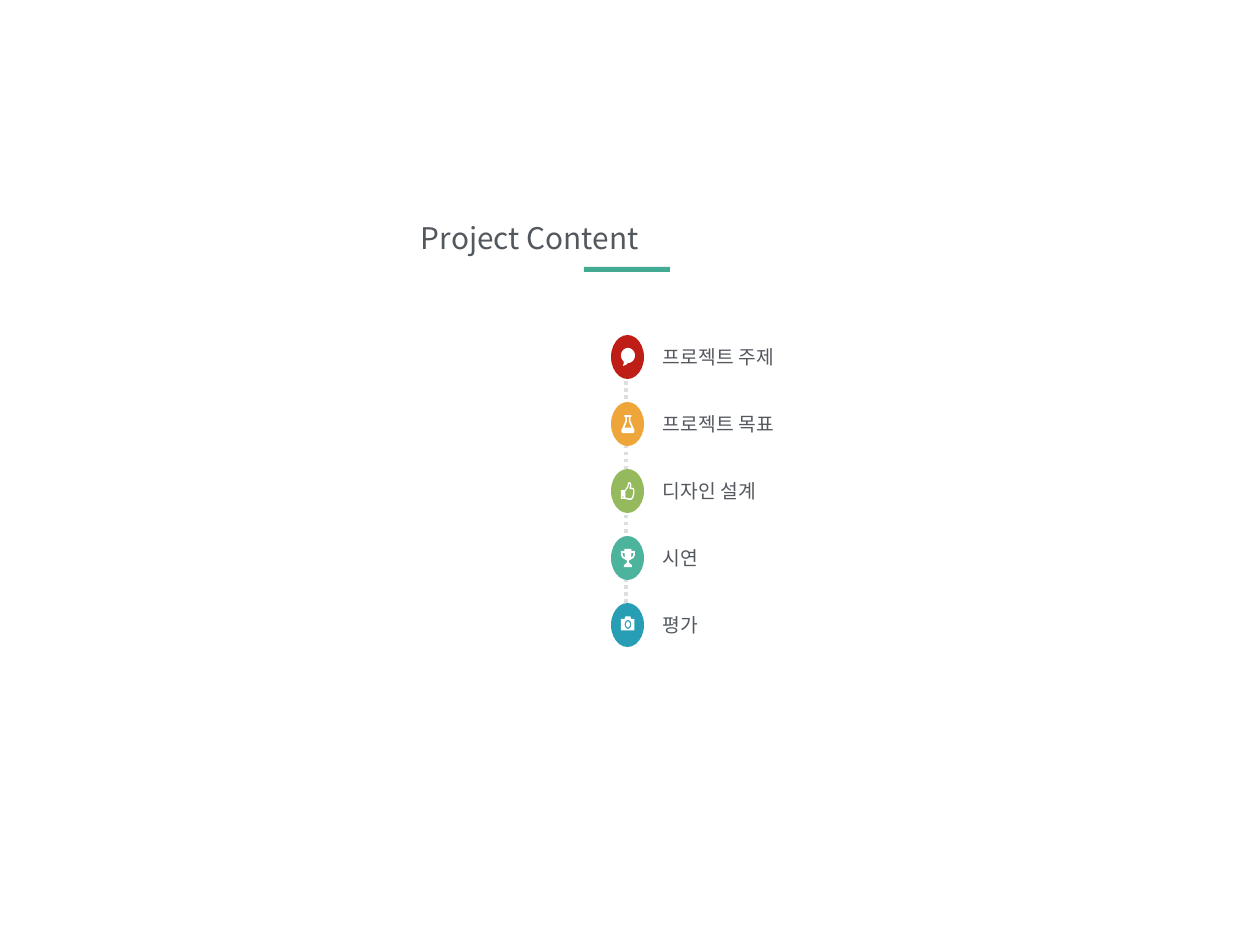
import math
from dataclasses import dataclass

import pptx
import pptx.dml.color
import pptx.enum.dml
import pptx.enum.shapes
import pptx.enum.text
import pptx.oxml.ns
import pptx.util

PX = 914400 / 126


@dataclass(frozen=True)
class Theme:
    font: str = "Noto Sans CJK KR"
    text: str = "53585F"
    rule: str = "43AB92"
    dots: str = "DCDEE0"
    icon: str = "FFFFFF"
    head: int = 17
    body: int = 11
    line: int = 2


THEME = Theme()


def emu(*nums):
    return [pptx.util.Emu(round(n * PX)) for n in nums]


def rgb(code):
    return pptx.dml.color.RGBColor.from_string(code)


def paint(shape, code):
    shape.shadow.inherit = False
    shape.fill.solid()
    shape.fill.fore_color.rgb = rgb(code)
    shape.line.fill.background()


def write(shape, words, size):
    frame = shape.text_frame
    frame.word_wrap = True
    frame.auto_size = pptx.enum.text.MSO_AUTO_SIZE.NONE
    frame.vertical_anchor = pptx.enum.text.MSO_ANCHOR.MIDDLE
    for side in ("left", "top", "right", "bottom"):
        setattr(frame, "margin_" + side, emu(3)[0])
    para = frame.paragraphs[0]
    para.alignment = pptx.enum.text.PP_ALIGN.LEFT
    run = para.add_run()
    run.text = words
    run.font.name = THEME.font
    run.font.size = pptx.util.Pt(size)
    run.font.color.rgb = rgb(THEME.text)
    # Hangul takes the East Asian face
    east = run.font._element.makeelement(
        pptx.oxml.ns.qn("a:ea"), {"typeface": THEME.font})
    run.font._element.find(pptx.oxml.ns.qn("a:latin")).addnext(east)


def arc(mid_x, mid_y, rad_x, rad_y, start=0, end=360):
    """Points on an ellipse, angles in degrees clockwise from the right."""
    angles = [math.radians(start + (end - start) * i / 36) for i in range(37)]
    return [(mid_x + rad_x * math.cos(a), mid_y + rad_y * math.sin(a))
            for a in angles]


def flip(points):
    return [(28 - x, y) for x, y in points]


# Icon outlines on a grid of half pixels, 28 wide; later loops cut holes
BUBBLE = [arc(14, 15, 14, 15, -225, 90) + [(11, 33), (4, 36), (6, 28)]]
FLASK = [
    [(7, 0), (21, 0), (21, 4), (19, 4), (19, 12), (27, 30), (27, 34), (25, 36),
     (3, 36), (1, 34), (1, 30), (9, 12), (9, 4), (7, 4)],
    [(12, 4), (16, 4), (16, 13), (21, 25), (7, 25), (12, 13)],
]
THUMB = [
    [(0, 16), (8, 16), (13, 8), (14, 2), (16, 0), (19, 1), (21, 5), (20, 11),
     (25, 12), (27, 16), (27, 22), (25, 31), (22, 35), (18, 36), (9, 34),
     (0, 34)],
    [(9, 18), (15, 10), (16, 3), (18, 4), (18, 8), (17, 14), (23, 14),
     (25, 17), (24, 24), (22, 31), (18, 33), (9, 31)],
    [(3, 28), (5, 28), (5, 31), (3, 31)],
]
GRIP = [(3, 8), (7, 8), (8, 17), (4, 14)]
HALF = [(21, 0), (21, 4), (28, 4), (28, 12), (25, 18), (20, 21), (16, 23),
        (16, 27), (19, 30), (22, 32), (22, 36)]
CUP = [HALF + flip(HALF)[::-1], GRIP, flip(GRIP)]
CAMERA = [
    [(0, 6), (7, 6), (9, 1), (19, 1), (20, 6), (27, 6), (27, 29), (0, 29)],
    arc(14, 17, 6.5, 9),
    arc(14, 17, 4, 6),
]

ITEMS = [
    ("프로젝트 주제", "BF1E16", BUBBLE),
    ("프로젝트 목표", "EEA53A", FLASK),
    ("디자인 설계", "95BA5E", THUMB),
    ("시연", "4CB49C", CUP),
    ("평가", "289EB5", CAMERA),
]


def draw_icon(slide, left, top, loops):
    fine = 5  # tenths of a pixel in each half pixel
    loops = [[(x * fine, y * fine) for x, y in loop] for loop in loops]
    pen = slide.shapes.build_freeform(*loops[0][0], scale=PX / 10)
    for i, loop in enumerate(loops):
        if i:
            pen.move_to(*loop[0])
        pen.add_line_segments(loop[1:], close=True)
    paint(pen.convert_to_shape(*emu(left, top)), THEME.icon)


def add_head(slide, left, top, width, height):
    # Title
    title = slide.shapes.title
    title.left, title.top, title.width, title.height = emu(
        left, top, width, height)
    write(title, "Project Content", THEME.head)
    # Accent rule
    rule = slide.shapes.add_shape(
        pptx.enum.shapes.MSO_SHAPE.RECTANGLE,
        *emu(left + 166, top + 53, 86, 5))
    paint(rule, THEME.rule)


def add_item(slide, left, top, words, code, loops):
    # Badge
    badge = slide.shapes.add_shape(
        pptx.enum.shapes.MSO_SHAPE.OVAL, *emu(left, top, 33, 44))
    paint(badge, code)
    draw_icon(slide, left + 10, top + 13, loops)
    # Label
    label = slide.shapes.add_textbox(*emu(left + 49, top + 6, 275, 31))
    write(label, words, THEME.body)


def add_list(slide, left, top, pitch):
    # Dotted line behind the badges
    foot = top + pitch * (len(ITEMS) - 1)
    dots = slide.shapes.add_connector(
        pptx.enum.shapes.MSO_CONNECTOR.STRAIGHT,
        *emu(left + 15, foot, left + 15, top + 23))
    dots.line.color.rgb = rgb(THEME.dots)
    dots.line.width = pptx.util.Pt(THEME.line)
    dots.line.dash_style = pptx.enum.dml.MSO_LINE.ROUND_DOT
    props = dots._element.spPr
    props.append(props.makeelement(pptx.oxml.ns.qn("a:effectLst"), {}))
    # Items
    for i, item in enumerate(ITEMS):
        add_item(slide, left, top + i * pitch, *item)


def main():
    deck = pptx.Presentation()
    deck.slide_width, deck.slide_height = emu(1260, 945)
    slide = deck.slides.add_slide(deck.slide_layouts[5])
    add_head(slide, 418, 214, 402, 48)
    add_list(slide, 611, 335, 67)
    deck.save("out.pptx")


if __name__ == "__main__":
    main()
